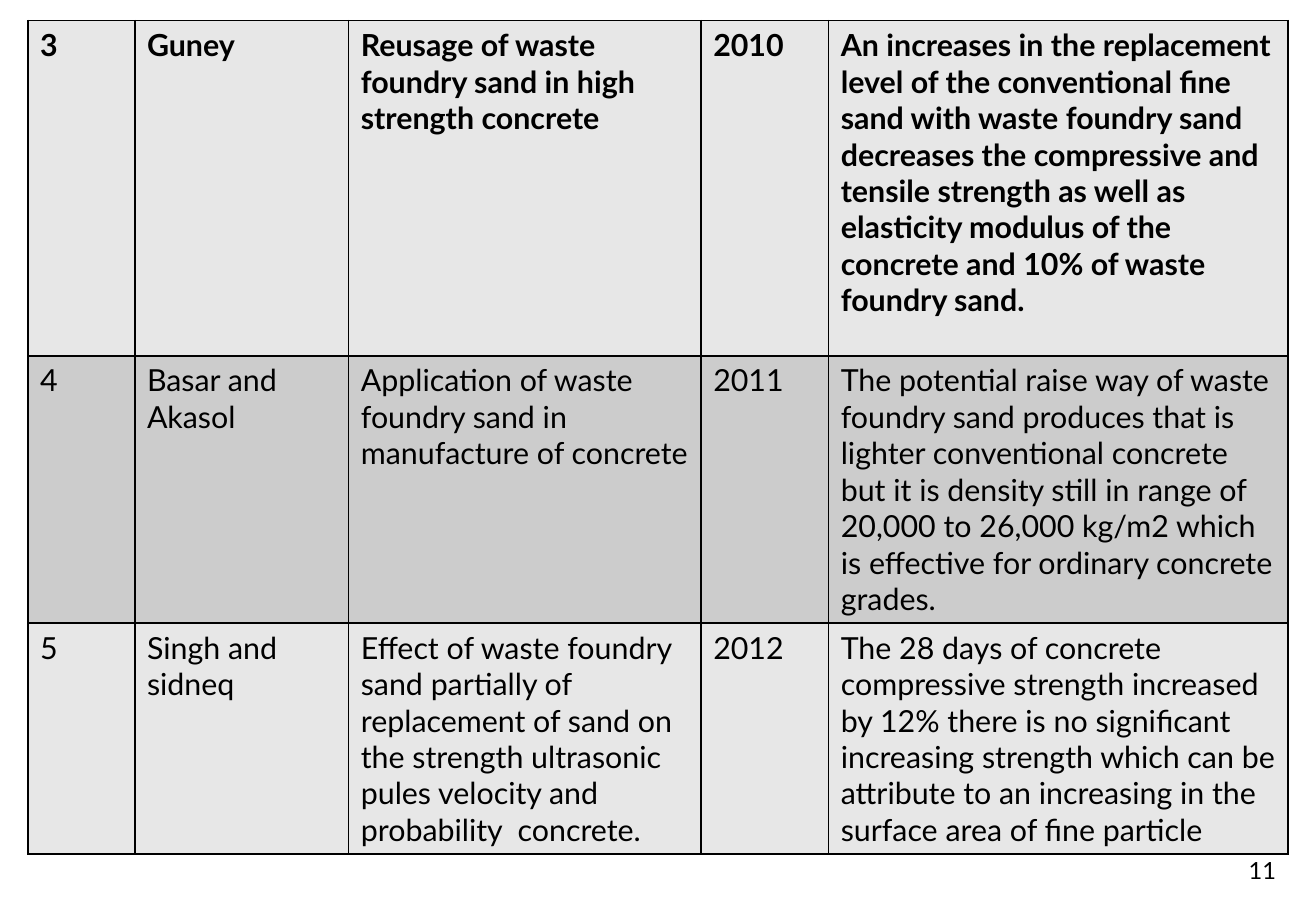
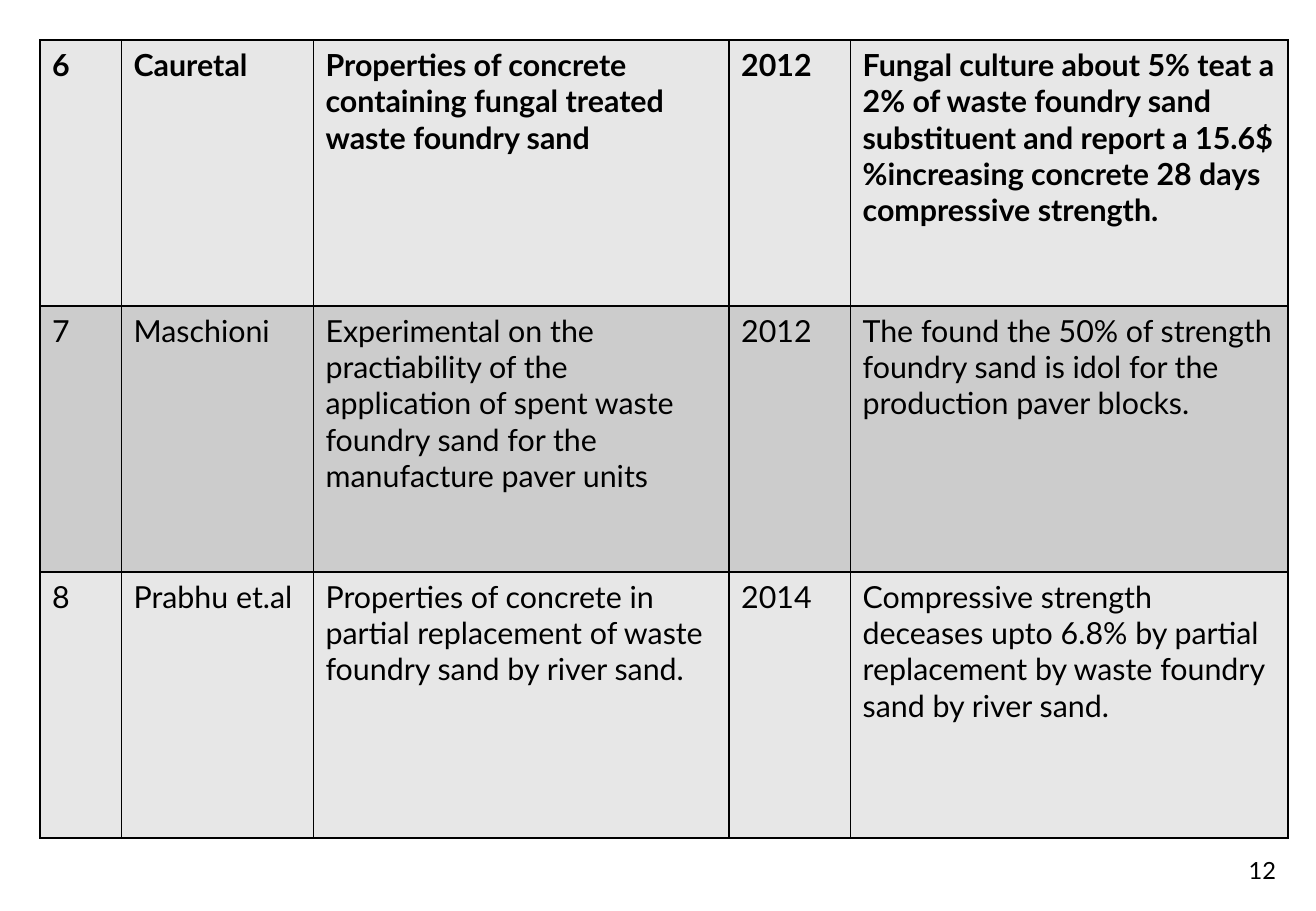
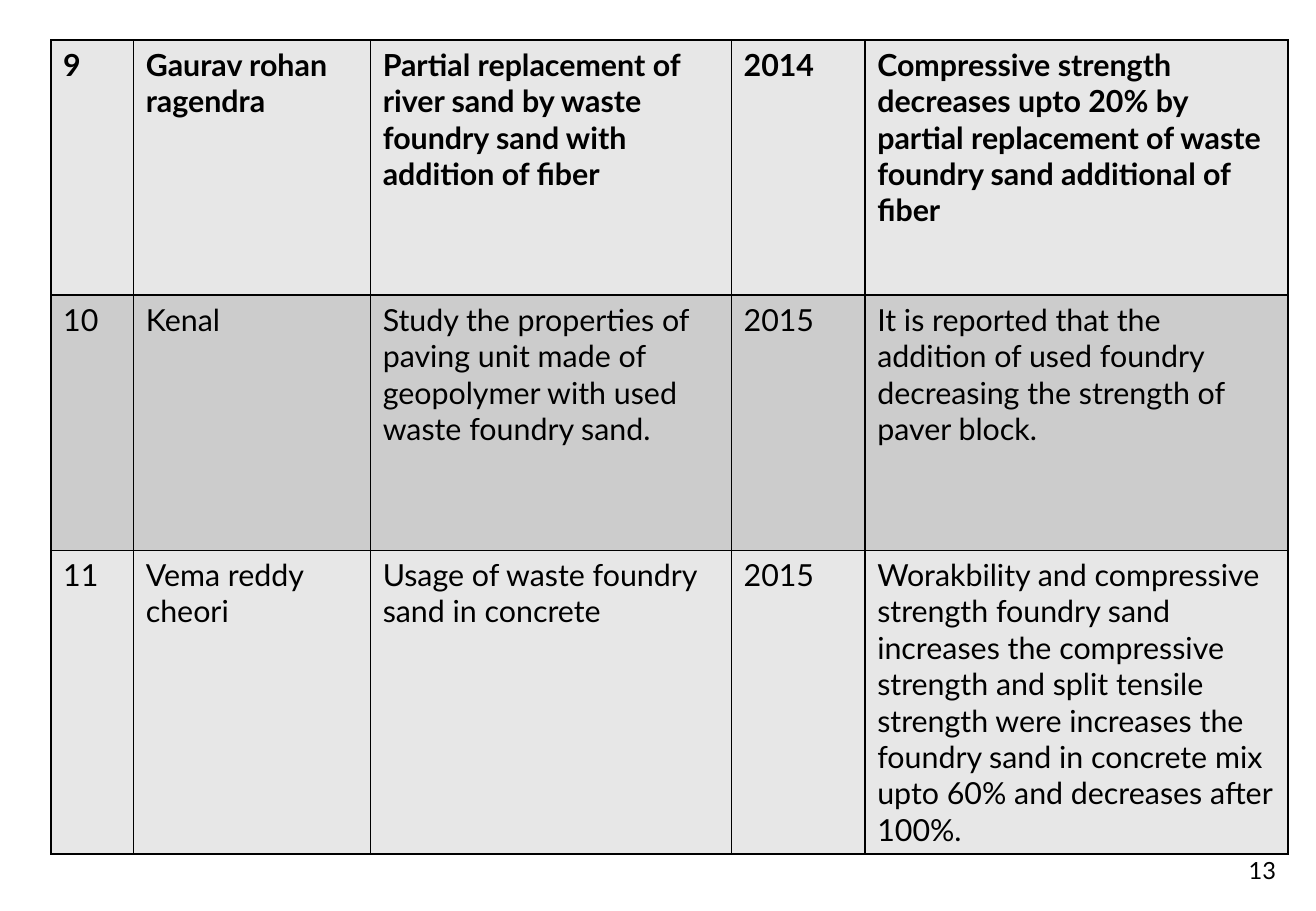
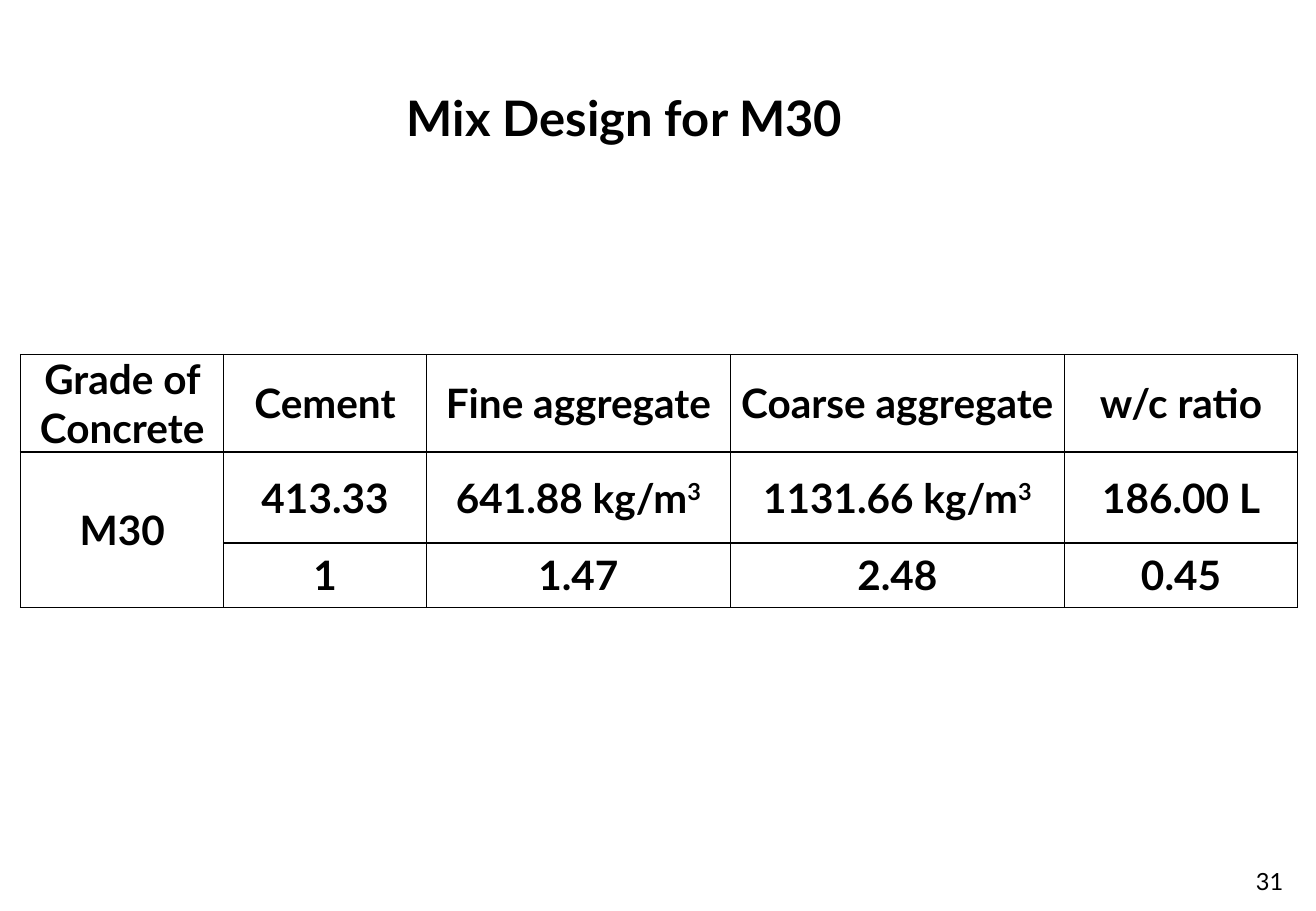
from dataclasses import dataclass

from lxml.etree import SubElement
from pptx import Presentation
from pptx.dml.color import RGBColor
from pptx.enum.text import MSO_ANCHOR as Anchor, PP_ALIGN as Align
from pptx.oxml.ns import qn
from pptx.util import Inches, Pt

# Shared style
SLIDE_WIDTH, SLIDE_HEIGHT = 10.83, 7.5
FONT = "Lato"
BLACK, WHITE, LIGHT, DARK = "000000", "FFFFFF", "E7E7E7", "CCCCCC"
TITLE_SIZE, NUMBER_SIZE = 29, 14
BORDER_WIDTH = 1
BORDER_TAGS = ("a:lnL", "a:lnR", "a:lnT", "a:lnB")
SUPERSCRIPT_MARK = "^"


@dataclass(frozen=True)
class Area:
    left: float
    top: float
    width: float
    height: float


@dataclass(frozen=True)
class TableStyle:
    size: int
    fills: tuple[str, ...]  # row fills, taken in turn
    bold_rows: int
    align: Align = Align.LEFT
    anchor: Anchor = Anchor.TOP
    margin_x: float = 0.1
    margin_y: float = 0.05


@dataclass(frozen=True)
class TablePage:
    number: int
    left: float
    top: float
    columns: tuple[float, ...]
    rows: tuple[float, ...]
    texts: tuple[tuple[str, ...], ...]
    style: TableStyle
    number_area: Area = Area(8.34, 6.83, 2.26, 0.5)
    title: str = ""
    merged: tuple[tuple[int, int, int, int], ...] = ()


TITLE_AREA = Area(3.25, 0.58, 4.17, 0.67)
REVIEW = TableStyle(size=18, fills=(LIGHT, DARK), bold_rows=1)
MIX = TableStyle(size=24, fills=(WHITE,), bold_rows=3, align=Align.CENTER,
                 anchor=Anchor.MIDDLE, margin_x=0.08, margin_y=0)

# Content
PAGES = (
    TablePage(
        11, 0.23, 0.17, (0.88, 1.76, 2.9, 1.05, 3.78), (2.76, 2.2, 1.9),
        (
            ("3", "Guney", "Reusage of waste foundry sand in high strength concrete", "2010",
             "An increases in the replacement level of the conventional fine sand with waste "
             "foundry sand decreases the compressive and tensile strength as well as elasticity "
             "modulus of the concrete and 10% of waste foundry sand."),
            ("4", "Basar and Akasol",
             "Application of waste foundry sand in manufacture of concrete", "2011",
             "The potential raise way of waste foundry sand produces that is lighter conventional "
             "concrete but it is density still in range of 20,000 to 26,000 kg/m2 which is "
             "effective for ordinary concrete grades."),
            ("5", "Singh and sidneq",
             "Effect of waste foundry sand partially of replacement of sand on the strength "
             "ultrasonic pules velocity and probability  concrete.", "2012",
             "The 28 days of concrete compressive strength increased by 12% there is no "
             "significant increasing strength which can be attribute to an increasing in the "
             "surface area of fine particle"),
        ),
        REVIEW,
    ),
    TablePage(
        12, 0.33, 0.33, (0.67, 1.58, 3.42, 1, 3.6), (2.19,) * 3,
        (
            ("6", "Cauretal",
             "Properties of concrete containing fungal treated waste foundry sand", "2012",
             "Fungal culture about 5% teat a 2% of waste foundry sand substituent and report a "
             "15.6$%increasing concrete 28 days compressive strength."),
            ("7", "Maschioni",
             "Experimental on the practiability of the application of spent waste foundry sand "
             "for the manufacture paver units", "2012",
             "The found the 50% of strength foundry sand is idol for the production paver blocks."),
            ("8", "Prabhu et.al",
             "Properties of concrete in partial replacement of waste foundry sand by river sand.",
             "2014",
             "Compressive strength deceases upto 6.8% by partial replacement by waste foundry "
             "sand by river sand."),
        ),
        REVIEW,
    ),
    TablePage(
        13, 0.42, 0.33, (0.68, 1.95, 2.97, 1.1, 3.48), (2.1, 2.1, 2.5),
        (
            ("9", "Gaurav rohan ragendra",
             "Partial replacement of river sand by waste foundry sand with addition of fiber",
             "2014",
             "Compressive strength decreases upto 20% by partial replacement of waste foundry "
             "sand additional of fiber"),
            ("10", "Kenal",
             "Study the properties of paving unit made of geopolymer with used waste foundry sand.",
             "2015",
             "It is reported that the addition of used foundry decreasing the strength of paver "
             "block."),
            ("11", "Vema reddy\ncheori", "Usage of waste foundry sand in concrete", "2015",
             "Worakbility and compressive strength foundry sand increases the compressive strength "
             "and split tensile strength were increases the foundry sand in concrete mix upto 60% "
             "and decreases after 100%."),
        ),
        REVIEW,
    ),
    TablePage(
        31, 0.17, 2.92, (1.67, 1.67, 2.5, 2.75, 1.92), (0.8, 0.75, 0.53),
        (
            ("Grade of Concrete", "Cement", "Fine aggregate", "Coarse aggregate", "w/c ratio"),
            ("M30", "413.33", "641.88 kg/m^3", "1131.66 kg/m^3", "186.00 L"),
            ("", "1", "1.47", "2.48", "0.45"),
        ),
        MIX,
        number_area=Area(10.23, 7.09, 0.43, 0.33),
        title="Mix Design for M30",
        merged=((1, 0, 2, 0),),
    ),
)


def color(value: str) -> RGBColor:
    return RGBColor.from_string(value)


def write(frame, text: str, size: int, bold: bool, align: Align) -> None:
    """Fill a text frame, one paragraph a line; the mark raises what follows it."""
    for index, line in enumerate(text.split("\n")):
        para = frame.add_paragraph() if index else frame.paragraphs[0]
        para.alignment = align
        font = para.font
        font.name, font.size, font.bold = FONT, Pt(size), bold
        font.color.rgb = color(BLACK)
        base, _, raised = line.partition(SUPERSCRIPT_MARK)
        para.add_run().text = base
        if raised:
            span = para.add_run()
            span.text = raised
            span._r.get_or_add_rPr().set("baseline", "30000")


def add_label(page, area: Area, text: str, size: int, bold: bool, align: Align) -> None:
    box = page.shapes.add_textbox(*map(Inches, (area.left, area.top, area.width, area.height)))
    frame = box.text_frame
    frame.word_wrap = True
    frame.vertical_anchor = Anchor.BOTTOM
    if align == Align.RIGHT:
        frame.margin_left = 0
    write(frame, text, size, bold, align)


def add_borders(cell) -> None:
    properties = cell._tc.get_or_add_tcPr()
    for tag in BORDER_TAGS:
        line = SubElement(properties, qn(tag), w=str(Pt(BORDER_WIDTH)))
        fill = SubElement(line, qn("a:solidFill"))
        SubElement(fill, qn("a:srgbClr"), val=BLACK)


def style_cell(cell, style: TableStyle, row: int) -> None:
    add_borders(cell)
    cell.fill.solid()
    cell.fill.fore_color.rgb = color(style.fills[row % len(style.fills)])
    cell.vertical_anchor = style.anchor
    cell.margin_left = cell.margin_right = Inches(style.margin_x)
    cell.margin_top = cell.margin_bottom = Inches(style.margin_y)


def add_grid(page, content: TablePage) -> None:
    style = content.style
    size = (sum(content.columns), sum(content.rows))
    table = page.shapes.add_table(
        len(content.rows), len(content.columns),
        *map(Inches, (content.left, content.top, *size))).table
    table.first_row = table.horz_banding = False
    for column, width in zip(table.columns, content.columns):
        column.width = Inches(width)
    for row, height in zip(table.rows, content.rows):
        row.height = Inches(height)
    for row, texts in enumerate(content.texts):
        for column, text in enumerate(texts):
            cell = table.cell(row, column)
            style_cell(cell, style, row)
            if text:
                write(cell.text_frame, text, style.size, row < style.bold_rows, style.align)
    for top, left, bottom, right in content.merged:
        table.cell(top, left).merge(table.cell(bottom, right))


def main() -> None:
    deck = Presentation()
    deck.slide_width, deck.slide_height = Inches(SLIDE_WIDTH), Inches(SLIDE_HEIGHT)
    blank = deck.slide_layouts[6]
    for content in PAGES:
        page = deck.slides.add_slide(blank)
        if content.title:
            add_label(page, TITLE_AREA, content.title, TITLE_SIZE, True, Align.LEFT)
        add_label(page, content.number_area, str(content.number), NUMBER_SIZE, False, Align.RIGHT)
        add_grid(page, content)
    deck.save("out.pptx")


if __name__ == "__main__":
    main()
